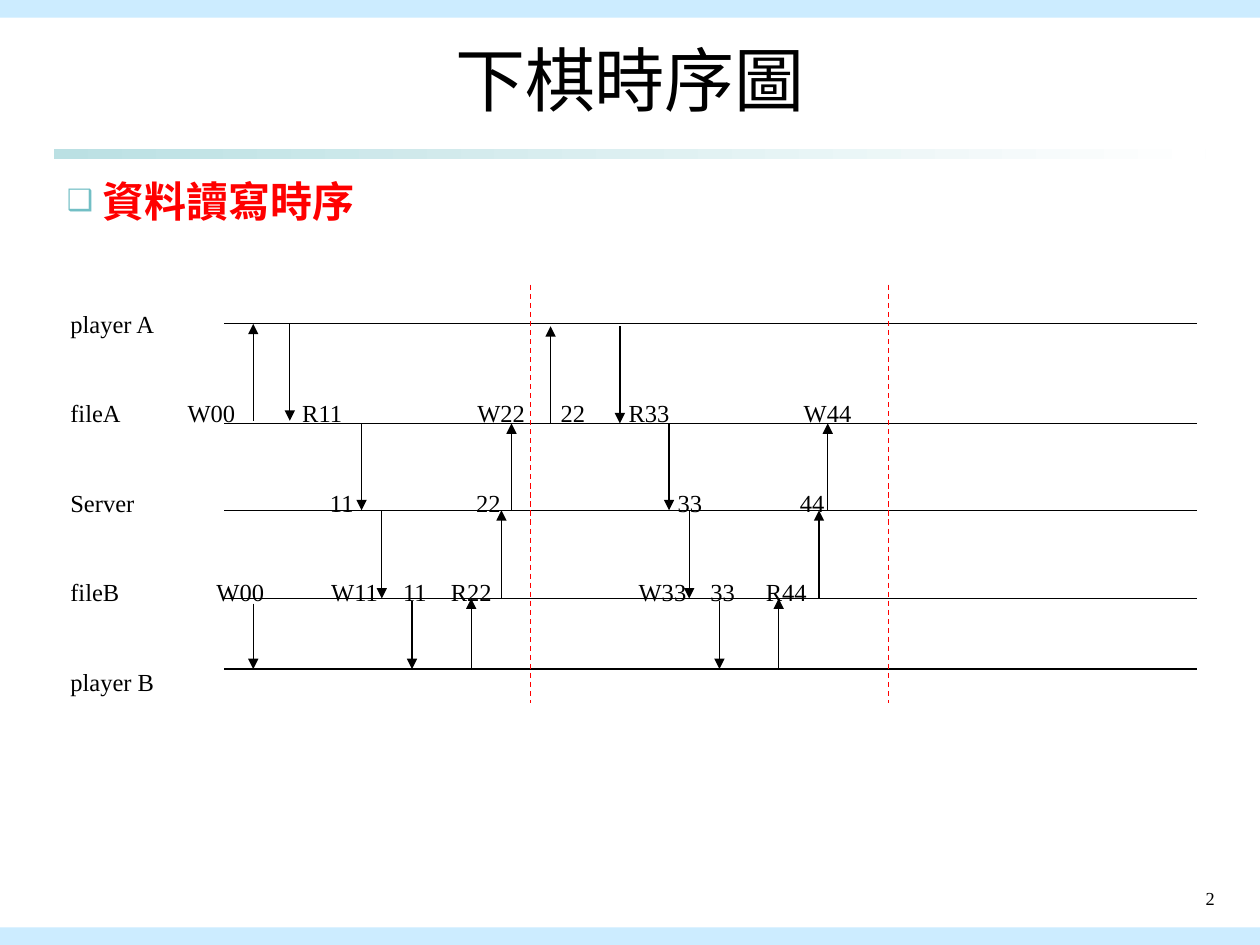
from lxml.etree import SubElement
from pptx import Presentation
from pptx.dml.color import RGBColor
from pptx.enum.dml import MSO_LINE
from pptx.enum.shapes import MSO_CONNECTOR, MSO_SHAPE
from pptx.enum.text import MSO_ANCHOR, MSO_AUTO_SIZE, PP_ALIGN
from pptx.oxml.ns import qn
from pptx.util import Inches, Pt

BLACK = RGBColor(0x00, 0x00, 0x00)
WHITE = RGBColor(0xFF, 0xFF, 0xFF)
RED = RGBColor(0xFF, 0x00, 0x00)
SKY = RGBColor(0xCC, 0xEC, 0xFF)
TEAL = RGBColor(0xBB, 0xE0, 0xE3)
BULLET = RGBColor(0x72, 0xBF, 0xC5)
FONT = "Times New Roman"

WIDTH, HEIGHT = 10, 7.5
BAND = 0.14
LANE_LEFT, LANE_RIGHT = 1.78, 9.5
PLAYER_A, FILE_A, SERVER, FILE_B, PLAYER_B = LANES = (2.57, 3.36, 4.05, 4.75, 5.31)
ROUND_ENDS = (4.21, 7.05)
ROUND_TOP, ROUND_BOTTOM = 2.26, 5.58
LABEL_LEFT, LABEL_TOP, INSET = 0.46, 2.4, 0.1

MESSAGES = [
    (2.01, FILE_A - 0.02, PLAYER_A),
    (2.01, FILE_B + 0.04, PLAYER_B),
    (2.3, PLAYER_A, FILE_A - 0.02),
    (2.87, FILE_A, SERVER),
    (3.03, SERVER, FILE_B),
    (3.27, FILE_B + 0.02, PLAYER_B),
    (3.74, PLAYER_B, FILE_B),
    (3.98, FILE_B, SERVER),
    (4.06, SERVER, FILE_A),
    (4.37, FILE_A, PLAYER_A + 0.02),
    (4.92, PLAYER_A + 0.02, FILE_A),
    (5.31, FILE_A, SERVER),
    (5.47, SERVER, FILE_B),
    (5.71, FILE_B + 0.02, PLAYER_B),
    (6.18, PLAYER_B, FILE_B),
    (6.5, FILE_B, SERVER),
    (6.57, SERVER, FILE_A),
]

LANE_LABELS = [
    ("player A", []),
    ("fileA", [("W00", 1.49), ("R11", 2.4), ("W22", 3.79), ("22", 4.45),
               ("R33", 4.99), ("W44", 6.38)]),
    ("Server", [("11", 2.62), ("22", 3.78), ("33", 5.38), ("44", 6.35)]),
    ("fileB", [("W00", 1.72), ("W11", 2.63), ("11", 3.2), ("R22", 3.58),
               ("W33", 5.07), ("33", 5.64), ("R44", 6.08)]),
    ("player B", []),
]


def place(shape, left, top, width, height):
    shape.left, shape.top = Inches(left), Inches(top)
    shape.width, shape.height = Inches(width), Inches(height)


def add_text(paragraph, text, size, color=BLACK, bold=False):
    run = paragraph.add_run()
    run.text = text
    run.font.name, run.font.size = FONT, Pt(size)
    run.font.color.rgb, run.font.bold = color, bold


def add_bar(slide, left, top, width, height, color, fade_to=None):
    bar = slide.shapes.add_shape(
        MSO_SHAPE.RECTANGLE, Inches(left), Inches(top), Inches(width), Inches(height))
    bar.shadow.inherit = False
    bar.line.fill.background()
    if fade_to is None:
        bar.fill.solid()
        bar.fill.fore_color.rgb = color
        return
    bar.fill.gradient()
    bar.fill.gradient_angle = 0
    for stop, shade in zip(bar.fill.gradient_stops, (color, fade_to)):
        stop.color.rgb = shade


def add_line(slide, start, end, color=BLACK, dash=None, arrow=False):
    line = slide.shapes.add_connector(
        MSO_CONNECTOR.STRAIGHT, *map(Inches, start), *map(Inches, end))
    line.line.color.rgb, line.line.width = color, Pt(0.75)
    if dash is not None:
        line.line.dash_style = dash
    if arrow:
        SubElement(line.line._get_or_add_ln(), qn("a:tailEnd"), type="triangle")
    SubElement(line._element.spPr, qn("a:effectLst"))


def fill_title(title):
    place(title, 0.5, BAND, 9, 0.96)
    title.text_frame.word_wrap = False
    title.text_frame.vertical_anchor = MSO_ANCHOR.MIDDLE
    heading = title.text_frame.paragraphs[0]
    heading.alignment = PP_ALIGN.CENTER
    add_text(heading, "下棋時序圖", 40)


def fill_body(body):
    place(body, 0.43, 1.34, 9.07, 5.65)
    topic = body.text_frame.paragraphs[0]
    add_text(topic, "資料讀寫時序", 24, RED, True)
    props = topic._p.get_or_add_pPr()
    props.set("marL", str(Inches(0.28)))
    props.set("indent", str(Inches(-0.28)))
    SubElement(SubElement(props, qn("a:buClr")), qn("a:srgbClr"), val=str(BULLET))
    SubElement(props, qn("a:buSzPct"), val="70000")
    SubElement(props, qn("a:buChar"), char="❑")


def add_lane_labels(slide):
    box = slide.shapes.add_textbox(
        Inches(LABEL_LEFT), Inches(LABEL_TOP), Inches(8.98), Inches(3.16))
    frame = box.text_frame
    frame.word_wrap = True
    for row, (lane, marks) in enumerate(LANE_LABELS):
        label = frame.add_paragraph() if row else frame.paragraphs[0]
        label.space_before = Pt(34.4 if row else 0)
        add_text(label, "\t".join([lane] + [mark for mark, _ in marks]), 14)
        if marks:
            tabs = SubElement(label._p.get_or_add_pPr(), qn("a:tabLst"))
            for _, x in marks:
                SubElement(tabs, qn("a:tab"), algn="l",
                           pos=str(Inches(x - LABEL_LEFT - INSET)))
    frame.auto_size = MSO_AUTO_SIZE.SHAPE_TO_FIT_TEXT


def add_page_number(slide):
    box = slide.shapes.add_textbox(
        Inches(7.17), Inches(6.99), Inches(2.57), Inches(0.37))
    box.text_frame.word_wrap = True
    number = box.text_frame.paragraphs[0]
    number.alignment = PP_ALIGN.RIGHT
    add_text(number, "2", 10.5)


def main():
    deck = Presentation()
    deck.slide_width, deck.slide_height = Inches(WIDTH), Inches(HEIGHT)
    slide = deck.slides.add_slide(deck.slide_layouts[1])
    add_bar(slide, 0.43, 1.18, 9.14, 0.08, TEAL, WHITE)
    for top in (0, HEIGHT - BAND):
        add_bar(slide, 0, top, WIDTH, BAND, SKY)
    fill_title(slide.shapes.title)
    fill_body(slide.placeholders[1])
    add_page_number(slide)
    add_lane_labels(slide)
    for y in LANES:
        add_line(slide, (LANE_LEFT, y), (LANE_RIGHT, y))
    for x, start, end in MESSAGES:
        add_line(slide, (x, start), (x, end), arrow=True)
    for x in ROUND_ENDS:
        add_line(slide, (x, ROUND_TOP), (x, ROUND_BOTTOM), RED, MSO_LINE.DASH)
    deck.save("out.pptx")


if __name__ == "__main__":
    main()
